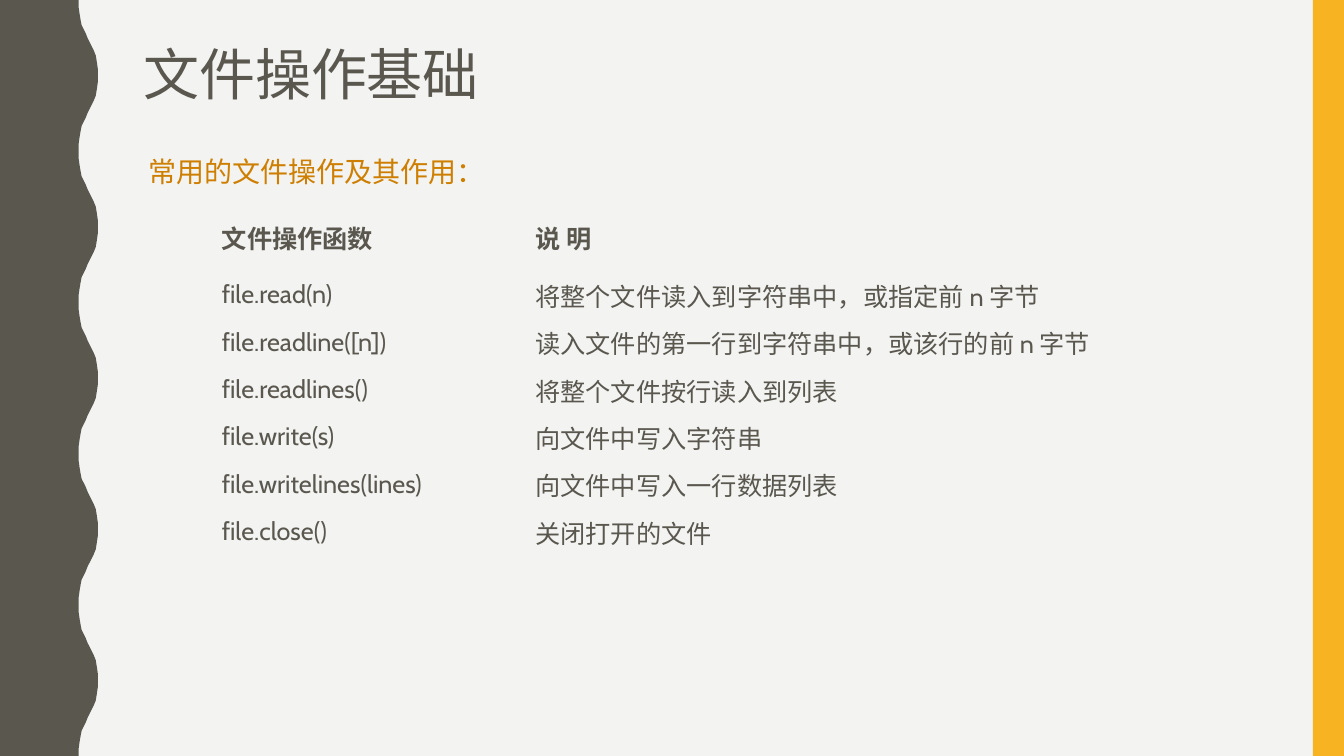
from lxml import etree
from pptx import Presentation
from pptx.dml.color import RGBColor
from pptx.enum.shapes import MSO_SHAPE
from pptx.enum.text import MSO_ANCHOR, PP_ALIGN
from pptx.oxml.ns import qn
from pptx.util import Pt

RECT = MSO_SHAPE.RECTANGLE
TOP, MIDDLE = MSO_ANCHOR.TOP, MSO_ANCHOR.MIDDLE
LEFT = PP_ALIGN.LEFT
PX = 9144  # 100 px to the inch
WIDE, HIGH = 1333, 750
DARK, GOLD, AMBER, PALE = "59574E", "F8B323", "CE7F00", "F3F3F2"
LATIN, HAN = "Cabin", "Noto Sans CJK SC"
NO_GRID = "{2D5ABB26-0587-4C30-8999-92F81FD0307C}"


def paint(shape, color):
    shape.shadow.inherit = False
    shape.fill.solid()
    shape.fill.fore_color.rgb = RGBColor.from_string(color)
    shape.line.fill.background()


def write(frame, text, size, color, face=LATIN, bold=False):
    frame.text = text
    para = frame.paragraphs[0]
    para.alignment = LEFT
    font = para.font
    font.size, font.bold, font.name = Pt(size), bold, face
    font.color.rgb = RGBColor.from_string(color)
    props = para._p.find(".//" + qn("a:defRPr"))
    etree.SubElement(props, qn("a:ea"), typeface=HAN)
    return para


deck = Presentation()
deck.slide_width, deck.slide_height = WIDE * PX, HIGH * PX
slide = deck.slides.add_slide(deck.slide_layouts[5])
shapes = slide.shapes
slide.background.fill.solid()
slide.background.fill.fore_color.rgb = RGBColor.from_string(PALE)

# Title
title = shapes.title
title.left, title.top, title.width, title.height = [
    n * PX for n in (132, 42, 1191, 178)]
title.text_frame.vertical_anchor = TOP
write(title.text_frame, "文件操作基础", 40, DARK, HAN).line_spacing = 0.9

# Wavy left edge: half a wave, mirrored, five times over
half = [(78, 0), (78, 7), (79, 14), (80, 20), (81, 25), (83, 29), (85, 33),
        (87, 38), (89, 42), (91, 46), (93, 50), (95, 55), (96, 61), (97, 68),
        (97, 75)]
wave = half + [(x, 150 - y) for x, y in half[-2::-1]]
edge = [(x, y + top) for top in range(0, HIGH, 150) for x, y in wave]
pen = shapes.build_freeform(0, 0, scale=PX)
pen.add_line_segments(edge + [(0, HIGH)], close=True)
paint(pen.convert_to_shape(), DARK)

# Right bar
paint(shapes.add_shape(RECT, 1302 * PX, 0, 31 * PX, HIGH * PX), GOLD)

# Lead line
lead = shapes.add_textbox(137 * PX, 145 * PX, 1113 * PX, 50 * PX).text_frame
lead.word_wrap = True
para = write(lead, "常用的文件操作及其作用：", 20, AMBER)
para.line_spacing, para.space_before = 1.1, Pt(7)

# Table of functions
rows = [
    ("文件操作函数", "说 明"),
    ("file.read(n)", "将整个文件读入到字符串中，或指定前 n 字节"),
    ("file.readline([n])", "读入文件的第一行到字符串中，或该行的前 n 字节"),
    ("file.readlines()", "将整个文件按行读入到列表"),
    ("file.write(s)", "向文件中写入字符串"),
    ("file.writelines(lines)", "向文件中写入一行数据列表"),
    ("file.close()", "关闭打开的文件"),
]
frame = shapes.add_table(len(rows), 2, 207 * PX, 203 * PX, 1041 * PX, 349 * PX)
table = frame.table
table.first_row = table.horz_banding = False
table._tbl.tblPr.find(qn("a:tableStyleId")).text = NO_GRID
for col, width in zip(table.columns, (311, 730)):
    col.width = width * PX
for r, texts in enumerate(rows):
    table.rows[r].height = (47 if r else 66) * PX
    for c, text in enumerate(texts):
        cell = table.cell(r, c)
        cell.fill.background()
        cell.vertical_anchor = MIDDLE
        cell.margin_left = cell.margin_right = 13 * PX
        cell.margin_top = cell.margin_bottom = 6 * PX
        write(cell.text_frame, text, 18, DARK, bold=r == 0)

deck.save("out.pptx")
